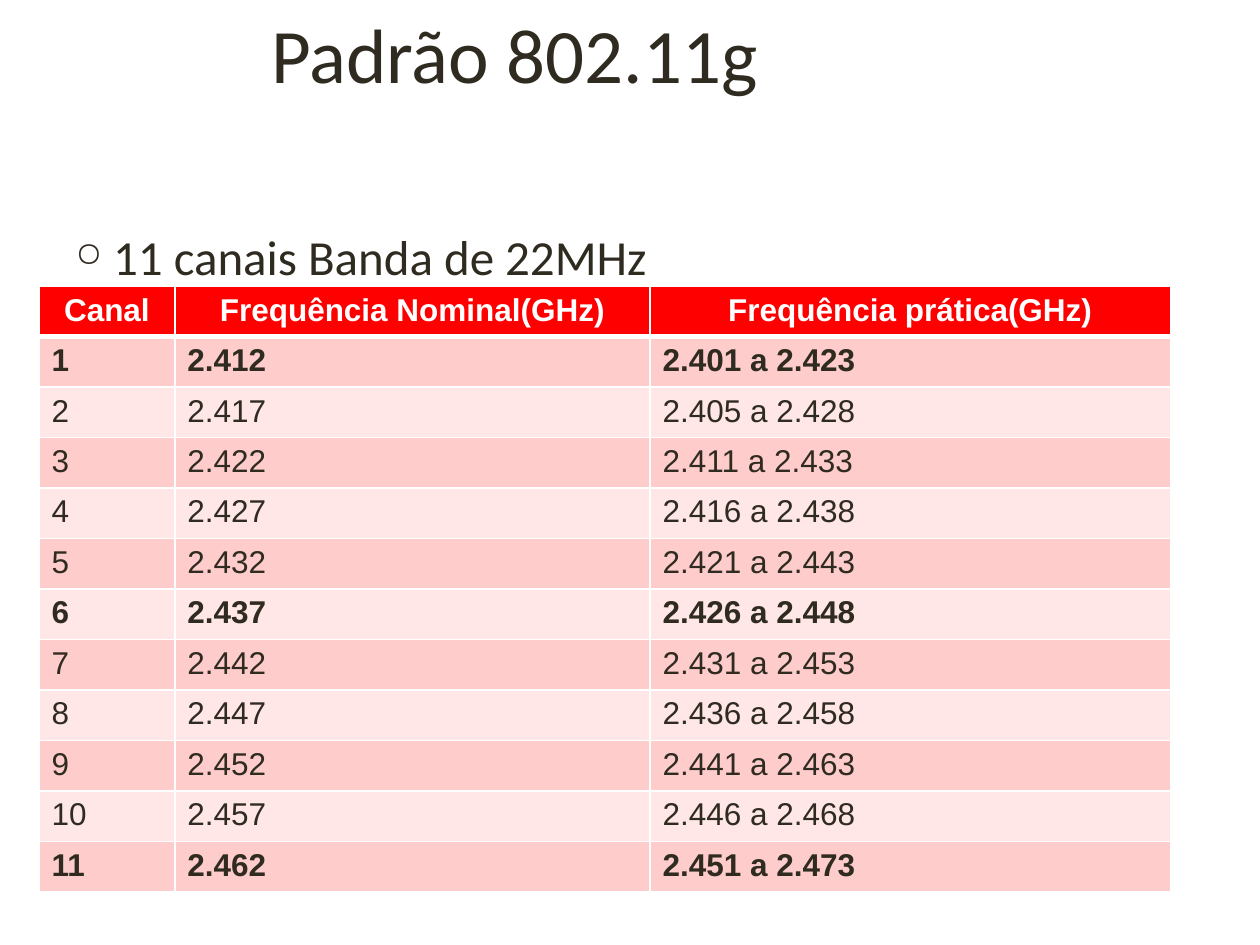
from lxml.etree import SubElement
from pptx import Presentation
from pptx.dml.color import RGBColor
from pptx.enum.text import MSO_ANCHOR, PP_ALIGN
from pptx.oxml.ns import qn
from pptx.util import Inches, Pt

WHITE = RGBColor(0xFF, 0xFF, 0xFF)
INK = RGBColor(0x2F, 0x2B, 0x20)
RED = RGBColor(0xFF, 0x00, 0x00)
PINK = RGBColor(0xFF, 0xCC, 0xCC)
PALE_PINK = RGBColor(0xFF, 0xE7, 0xE7)

HEADERS = ("Canal", "Frequência Nominal(GHz)", "Frequência prática(GHz)")
CHANNELS = (
    ("1", "2.412", "2.401 a 2.423"),
    ("2", "2.417", "2.405 a 2.428"),
    ("3", "2.422", "2.411 a 2.433"),
    ("4", "2.427", "2.416 a 2.438"),
    ("5", "2.432", "2.421 a 2.443"),
    ("6", "2.437", "2.426 a 2.448"),
    ("7", "2.442", "2.431 a 2.453"),
    ("8", "2.447", "2.436 a 2.458"),
    ("9", "2.452", "2.441 a 2.463"),
    ("10", "2.457", "2.446 a 2.468"),
    ("11", "2.462", "2.451 a 2.473"),
)
SEPARATE_CHANNELS = ("1", "6", "11")
COLUMN_SHARES = (0.12, 0.42, 0.46)


def style_font(font, name, size, color, bold=False):
    font.name = name
    font.size = Pt(size)
    font.color.rgb = color
    font.bold = bold


def add_text(slide, box, text, size):
    shape = slide.shapes.add_textbox(*box)
    frame = shape.text_frame
    frame.word_wrap = True
    frame.vertical_anchor = MSO_ANCHOR.TOP
    paragraph = frame.paragraphs[0]
    paragraph.text = text
    style_font(paragraph.font, "Calibri", size, INK)
    return shape, paragraph


def add_title(slide, box):
    shape, paragraph = add_text(slide, box, "Padrão 802.11g", 44)
    shape.fill.solid()
    shape.fill.fore_color.rgb = WHITE
    paragraph.alignment = PP_ALIGN.CENTER


def add_bullet(slide, box):
    shape, paragraph = add_text(slide, box, "11 canais Banda de 22MHz", 28)
    paragraph.level = 1
    paragraph.space_before = Pt(6)
    properties = paragraph._p.get_or_add_pPr()
    properties.set("marL", str(Inches(0.3)))
    properties.set("indent", str(Inches(-0.31)))
    bullet_size = properties.makeelement(qn("a:buSzPct"), {"val": "70000"})
    bullet = properties.makeelement(qn("a:buChar"), {"char": "○"})
    properties.find(qn("a:spcBef")).addnext(bullet_size)
    bullet_size.addnext(bullet)


def set_borders(cell, bottom_width):
    properties = cell._tc.get_or_add_tcPr()
    for side, width in (("L", 1), ("R", 1), ("T", 1), ("B", bottom_width)):
        line = SubElement(properties, qn(f"a:ln{side}"), w=str(Pt(width)))
        fill = SubElement(line, qn("a:solidFill"))
        SubElement(fill, qn("a:srgbClr"), val=str(WHITE))


def fill_row(table, row, values, fill, color, bold, alignment, bottom_width=1):
    for column, value in enumerate(values):
        cell = table.cell(row, column)
        set_borders(cell, bottom_width)
        cell.fill.solid()
        cell.fill.fore_color.rgb = fill
        paragraph = cell.text_frame.paragraphs[0]
        paragraph.text = value
        paragraph.alignment = alignment
        style_font(paragraph.font, "Arial", 18, color, bold)


def add_channel_table(slide, box):
    left, top, width, height = box
    row_count = len(CHANNELS) + 1
    frame = slide.shapes.add_table(row_count, len(HEADERS), left, top, width, height)
    table = frame.table
    for column, share in zip(table.columns, COLUMN_SHARES):
        column.width = int(width * share)
    fill_row(table, 0, HEADERS, RED, WHITE, True, PP_ALIGN.CENTER, 3)
    for row, values in enumerate(CHANNELS, 1):
        fill = PINK if row % 2 else PALE_PINK
        bold = values[0] in SEPARATE_CHANNELS
        fill_row(table, row, values, fill, INK, bold, PP_ALIGN.LEFT)


def main():
    presentation = Presentation()
    presentation.slide_width = Inches(10)
    presentation.slide_height = Inches(7.5)
    slide = presentation.slides.add_slide(presentation.slide_layouts[6])

    def area(left, top, width, height):
        return (
            int(presentation.slide_width * left),
            int(presentation.slide_height * top),
            int(presentation.slide_width * width),
            int(presentation.slide_height * height),
        )

    add_title(slide, area(0, 0, 0.817, 1 / 6))
    add_bullet(slide, area(0.05, 0.7 / 3, 0.817, 0.71))
    add_channel_table(slide, area(0.031, 0.303, 0.898, 0.56))
    presentation.save("out.pptx")


if __name__ == "__main__":
    main()
